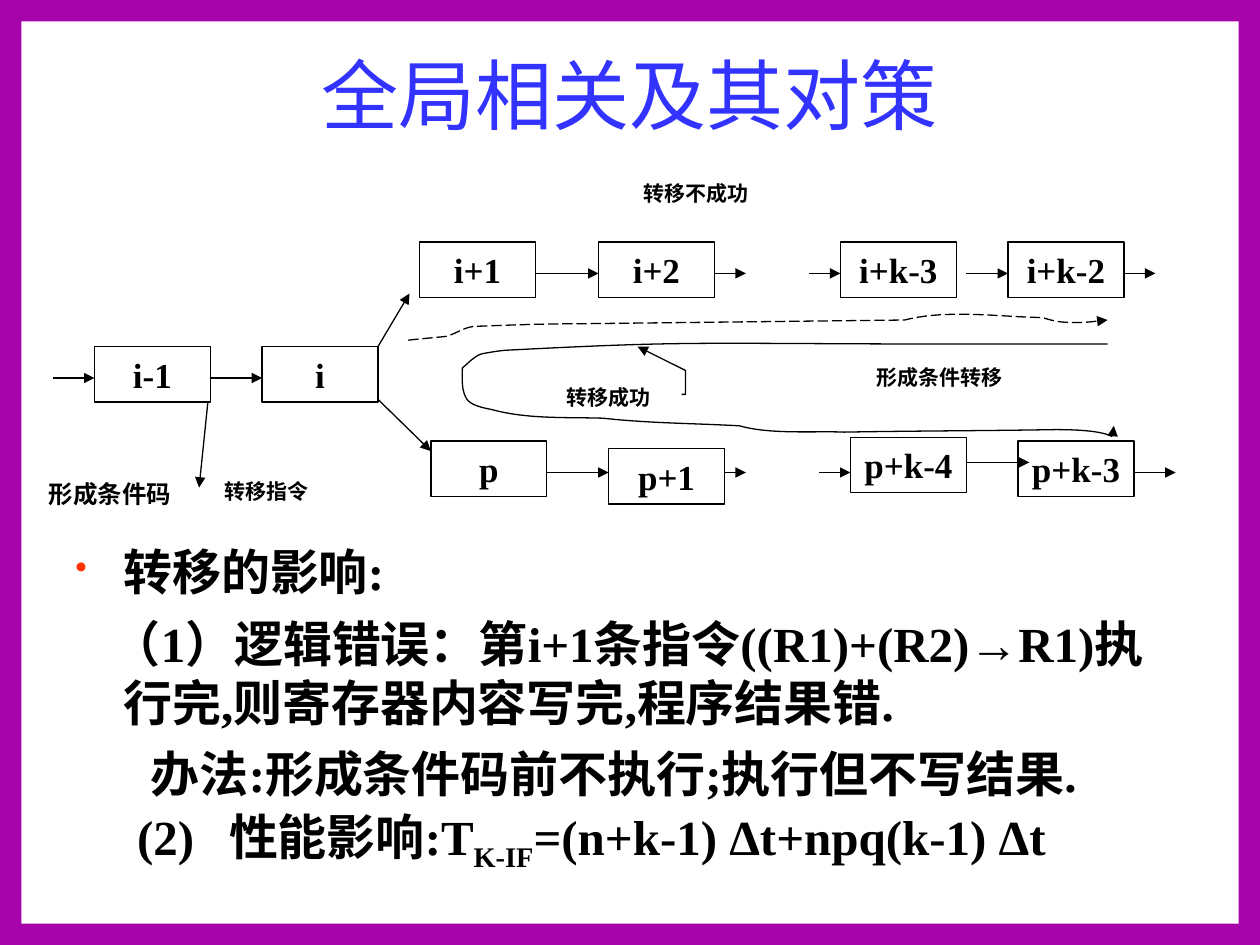
from dataclasses import dataclass

from pptx import Presentation
from pptx.dml.color import RGBColor
from pptx.enum.dml import MSO_LINE
from pptx.enum.shapes import MSO_CONNECTOR, MSO_SHAPE
from pptx.enum.text import MSO_ANCHOR, PP_ALIGN
from pptx.oxml.ns import qn
from pptx.util import Inches, Pt
from lxml.etree import SubElement


@dataclass(frozen=True)
class Theme:
    frame: RGBColor = RGBColor(0xA6, 0x03, 0xAB)
    title: RGBColor = RGBColor(0x33, 0x33, 0xFF)
    ink: RGBColor = RGBColor(0, 0, 0)
    paper: RGBColor = RGBColor(0xFF, 0xFF, 0xFF)
    bullet: str = "FF3300"
    title_font: str = "Karla"
    text_font: str = "Times New Roman"
    symbol_font: str = "Arial"
    title_size: int = 44
    body_size: int = 28
    stage_size: int = 20
    code_size: int = 14
    label_size: int = 12
    line_width: float = 0.75
    line_spacing: float = 33.7
    paragraph_gap: int = 7


class PipelinePage:
    """Draws the elements of a pipeline slide in one theme."""

    def __init__(self, page, theme):
        self.page = page
        self.theme = theme

    def style(self, span, size, color=None, font=None, bold=True):
        span.font.size = Pt(size)
        span.font.bold = bold
        span.font.name = font or self.theme.text_font
        span.font.color.rgb = color or self.theme.ink

    def rectangle(self, left, top, width, height, fill=None, outlined=False):
        box = self.page.shapes.add_shape(
            MSO_SHAPE.RECTANGLE, Inches(left), Inches(top), Inches(width), Inches(height))
        box.shadow.inherit = False
        if fill is None:
            box.fill.background()
        else:
            box.fill.solid()
            box.fill.fore_color.rgb = fill
        if outlined:
            self.stroke(box.line)
        else:
            box.line.fill.background()
        return box

    def stroke(self, line, arrow=False):
        line.color.rgb = self.theme.ink
        line.width = Pt(self.theme.line_width)
        if arrow:
            SubElement(line._get_or_add_ln(), qn("a:tailEnd"), type="triangle")

    def caption(self, box, text, size, anchor):
        frame = box.text_frame
        frame.word_wrap = True
        frame.vertical_anchor = anchor
        frame.text = text
        paragraph = frame.paragraphs[0]
        paragraph.alignment = PP_ALIGN.CENTER
        self.style(paragraph.runs[0], size)

    def stage(self, text, left, top):
        box = self.rectangle(left, top, 0.92, 0.44, outlined=True)
        self.caption(box, text, self.theme.stage_size, MSO_ANCHOR.MIDDLE)

    def label(self, text, size, *place):
        box = self.rectangle(*place, fill=self.theme.paper)
        self.caption(box, text, size, MSO_ANCHOR.TOP)

    def arrow(self, *ends):
        connector = self.page.shapes.add_connector(
            MSO_CONNECTOR.STRAIGHT, *(Inches(value) for value in ends))
        self.stroke(connector.line, arrow=True)
        SubElement(connector._element.spPr, qn("a:effectLst"))

    def route(self, points, curved=False, dashed=False):
        start, *rest = [(Inches(x), Inches(y)) for x, y in points]
        builder = self.page.shapes.build_freeform(*start)
        builder.add_line_segments(rest, close=False)
        outline = builder.convert_to_shape()
        outline.shadow.inherit = False
        outline.fill.background()
        if dashed:
            outline.line.dash_style = MSO_LINE.LONG_DASH
        self.stroke(outline.line, arrow=True)
        if curved:
            self.bend(outline)

    def bend(self, outline):
        track = next(outline._element.iter(qn("a:path")))
        segments = track.findall(qn("a:lnTo"))
        for first in range(0, len(segments), 3):
            curve = SubElement(track, qn("a:cubicBezTo"))
            for segment in segments[first:first + 3]:
                curve.append(segment[0])
                track.remove(segment)

    def title(self, text):
        box = self.page.shapes.add_textbox(Inches(0.5), Inches(0.33), Inches(9), Inches(0.83))
        frame = box.text_frame
        frame.word_wrap = True
        frame.vertical_anchor = MSO_ANCHOR.BOTTOM
        frame.text = text
        paragraph = frame.paragraphs[0]
        paragraph.alignment = PP_ALIGN.CENTER
        self.style(paragraph.runs[0], self.theme.title_size, self.theme.title,
                   self.theme.title_font, bold=False)

    def body(self, entries):
        box = self.page.shapes.add_textbox(Inches(0.5), Inches(4.25), Inches(9), Inches(3))
        frame = box.text_frame
        frame.word_wrap = True
        for index, (margin, indent, bulleted, pieces) in enumerate(entries):
            paragraph = frame.add_paragraph() if index else frame.paragraphs[0]
            paragraph.line_spacing = Pt(self.theme.line_spacing)
            if index:
                paragraph.space_before = Pt(self.theme.paragraph_gap)
            properties = paragraph._p.get_or_add_pPr()
            properties.set("marL", str(Inches(margin)))
            properties.set("indent", str(Inches(indent)))
            if bulleted:
                color = SubElement(properties, qn("a:buClr"))
                SubElement(color, qn("a:srgbClr"), val=self.theme.bullet)
                SubElement(properties, qn("a:buSzPct"), val="70000")
                SubElement(properties, qn("a:buChar"), char="•")
            for text in pieces:
                span = paragraph.add_run()
                span.text = text
                font = self.theme.symbol_font if text == "→" else None
                self.style(span, self.theme.body_size, font=font)
                if text == "K-IF":
                    span._r.get_or_add_rPr().set("baseline", "-25000")


STAGES = [
    ("i-1", 0.75, 2.75), ("i", 2.08, 2.75),
    ("i+1", 3.33, 1.92), ("i+2", 4.75, 1.92), ("i+k-3", 6.67, 1.92), ("i+k-2", 8, 1.92),
    ("p", 3.42, 3.5), ("p+1", 4.83, 3.56), ("p+k-4", 6.75, 3.47), ("p+k-3", 8.08, 3.5),
]
LANES = {
    2.17: [(4.25, 4.75), (5.67, 5.92), (6.42, 6.67), (7.67, 8), (8.92, 9.17)],
    3: [(0.42, 0.75), (1.67, 2.08)],
    3.67: [(7.67, 8.17)],
    3.75: [(4.33, 4.83), (5.75, 5.92), (6.5, 6.75), (9, 9.33)],
}
BRANCHES = [(3, 2.75, 3.25, 2.33), (3, 3.17, 3.42, 3.58), (1.65, 3.19, 1.58, 3.87)]
FAILED_ROUTE = [
    (3.24, 2.7), (3.32, 2.69), (3.45, 2.68), (3.54, 2.67), (3.62, 2.65), (3.69, 2.59),
    (3.78, 2.59), (4.04, 2.58), (4.31, 2.57), (4.57, 2.57), (5.44, 2.56), (7.18, 2.54),
    (7.18, 2.54), (7.52, 2.45), (7.99, 2.52), (8.27, 2.52), (8.37, 2.55), (8.41, 2.56),
    (8.54, 2.56), (8.62, 2.56), (8.79, 2.54), (8.79, 2.54),
]
TAKEN_ROUTE = [
    (8.79, 2.73), (5.43, 2.74), (5.75, 2.69), (4.02, 2.78), (3.99, 2.78), (3.86, 2.8),
    (3.82, 2.81), (3.76, 2.83), (3.72, 2.88), (3.67, 2.92), (3.67, 3), (3.66, 3.09),
    (3.7, 3.16), (3.73, 3.22), (3.85, 3.24), (3.9, 3.25), (4.19, 3.33), (4.51, 3.31),
    (4.79, 3.32), (5.15, 3.36), (5.51, 3.36), (5.87, 3.38), (6.11, 3.45), (6.48, 3.42),
    (6.7, 3.43), (7.26, 3.42), (7.82, 3.42), (8.38, 3.41), (8.85, 3.41), (8.84, 3.55),
    (8.84, 3.38),
]
TAKEN_POINTER = [(5.41, 3.13), (5.44, 3.13), (5.44, 2.94), (5.06, 2.75)]
BODY = [
    (0.38, -0.38, True, ["转移的影响:"]),
    (0.38, -0.09, False, ["（1）逻辑错误：第i+1条指令((R1)+(R2)", "→",
                          "R1)执行完,则寄存器内容写完,程序结果错."]),
    (0.38, 0.22, False, ["办法:形成条件码前不执行;执行但不写结果."]),
    (1.22, -0.73, False, ["(2)\t性能影响:T", "K-IF", "=(n+k-1) Δt+npq(k-1) Δt"]),
]


def main():
    theme = Theme()
    deck = Presentation()
    deck.slide_width, deck.slide_height = Inches(10), Inches(7.5)
    pipeline = PipelinePage(deck.slides.add_slide(deck.slide_layouts[6]), theme)
    for bar in [(0, 0, 10, 0.17), (0, 7.33, 10, 0.17), (0, 0, 0.17, 7.5), (9.83, 0, 0.17, 7.5)]:
        pipeline.rectangle(*bar, fill=theme.frame)
    pipeline.title("全局相关及其对策")
    pipeline.body(BODY)
    for stage in STAGES:
        pipeline.stage(*stage)
    pipeline.label("形成条件码", theme.code_size, 0.25, 3.75, 1.25, 0.42)
    pipeline.label("转移指令", theme.label_size, 1.67, 3.75, 0.89, 0.33)
    pipeline.label("转移不成功", theme.label_size, 4.96, 1.38, 1.13, 0.2)
    pipeline.label("转移成功", theme.label_size, 4.33, 3, 1, 0.25)
    pipeline.label("形成条件转移", theme.label_size, 6.83, 2.84, 1.26, 0.41)
    for level, spans in LANES.items():
        for start, end in spans:
            pipeline.arrow(start, level, end, level)
    for branch in BRANCHES:
        pipeline.arrow(*branch)
    pipeline.route(FAILED_ROUTE, curved=True, dashed=True)
    pipeline.route(TAKEN_ROUTE, curved=True)
    pipeline.route(TAKEN_POINTER)
    deck.save("out.pptx")


if __name__ == "__main__":
    main()
